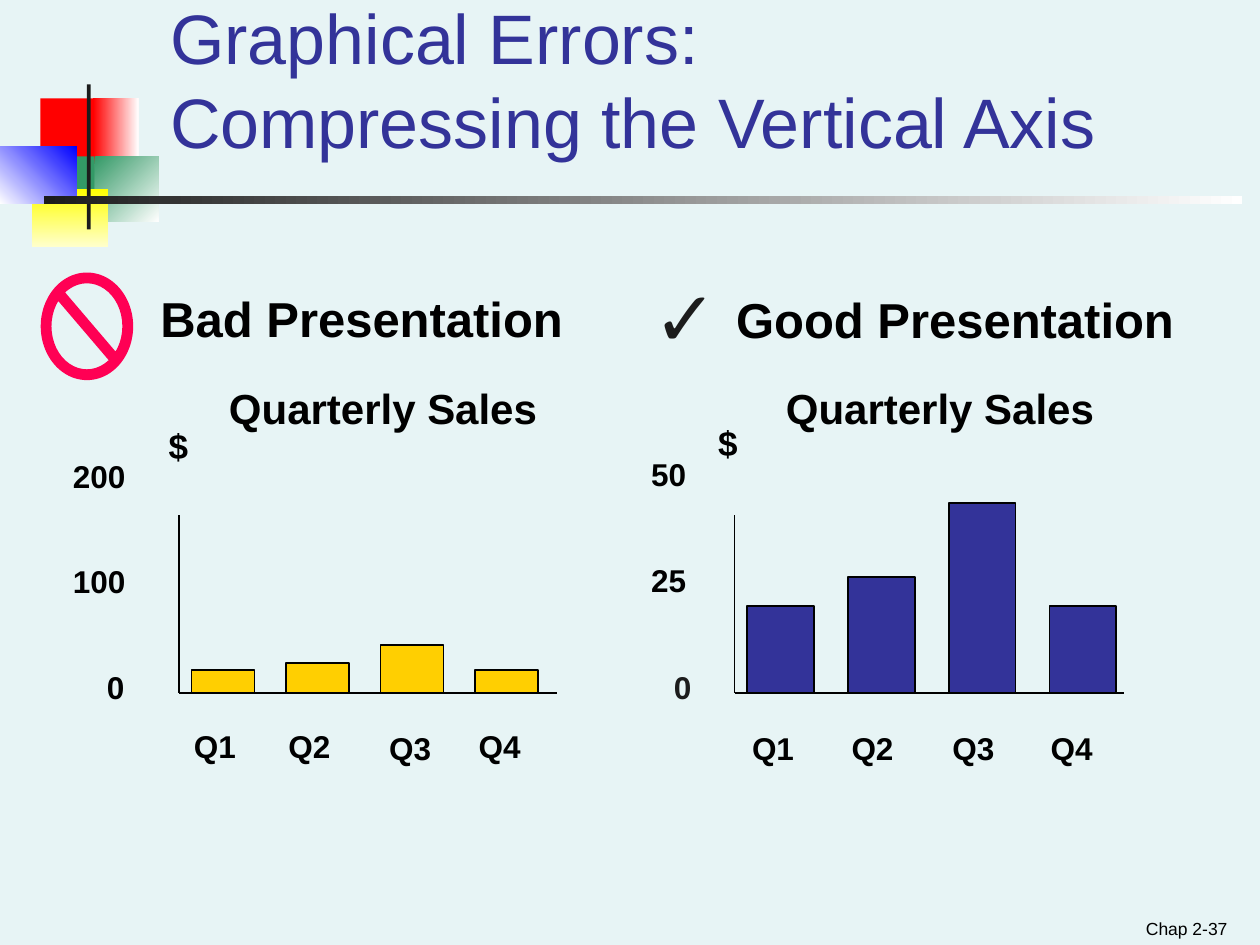
from lxml import etree
from pptx import Presentation
from pptx.dml.color import RGBColor
from pptx.enum.shapes import MSO_CONNECTOR, MSO_SHAPE
from pptx.enum.text import MSO_ANCHOR, MSO_AUTO_SIZE, PP_ALIGN
from pptx.oxml.ns import qn
from pptx.util import Pt

RECT, NO_SYMBOL = MSO_SHAPE.RECTANGLE, MSO_SHAPE.NO_SYMBOL
STRAIGHT = MSO_CONNECTOR.STRAIGHT
BOTTOM = MSO_ANCHOR.BOTTOM
NO_FIT, FIT_SHAPE = MSO_AUTO_SIZE.NONE, MSO_AUTO_SIZE.SHAPE_TO_FIT_TEXT
LEFT, CENTER, RIGHT = PP_ALIGN.LEFT, PP_ALIGN.CENTER, PP_ALIGN.RIGHT

PX = 9144
FONT = "Arial"
BASELINE = 550
COLORS = {
    "background": "E7F4F5", "title": "333399", "text": "000000", "dark": "1C1C1C",
    "bad": "FFCF01", "good": "333399", "ban": "FF0054", "white": "FFFFFF",
    "red": "FF0000", "green": "339966", "yellow": "FFFF00", "cream": "FFFFCC",
    "blue": "0000FF",
}

# box, colour stops, clockwise angle
DECORATION = [
    ((32, 78, 48, 52), ("red",), 0),
    ((74, 78, 36, 52), ("red", "white"), 0),
    ((75, 124, 51, 52), ("green", "white"), 45),
    ((43, 124, 32, 52), ("green",), 0),
    ((25, 150, 61, 46), ("yellow", "cream"), 90),
    ((0, 116, 61, 46), ("white", "blue"), 315),
    ((69, 67, 3, 115), ("dark",), 0),
    ((35, 156, 951, 6), ("dark", "white"), 0),
]

CHARTS = [
    {
        "color": "bad", "title": (165, 299, 278, 50), "dollar": (124, 332, 35, 43),
        "axis": (142, 442), "bar_left": 152, "pitch": 75, "bar_width": 50,
        "heights": (18, 24, 38, 18),
        "quarter_lefts": (144, 219, 299, 370), "quarter_tops": (572, 572, 574, 572),
        "scale": [("200", (48, 358, 62, 40), "text"),
                  ("100", (48, 441, 62, 40), "text"),
                  ("0", (75, 525, 34, 40), "text")],
    },
    {
        "color": "good", "title": (607, 299, 278, 50), "dollar": (560, 330, 35, 43),
        "axis": (583, 892), "bar_left": 593, "pitch": 80, "bar_width": 53,
        "heights": (69, 92, 151, 69),
        "quarter_lefts": (587, 666, 746, 824), "quarter_tops": (574,) * 4,
        "scale": [("50", (507, 356, 48, 40), "text"),
                  ("25", (507, 440, 48, 40), "text"),
                  ("0", (525, 525, 34, 40), "dark")],
    },
]


def rgb(name):
    """Return the named colour."""
    return RGBColor.from_string(COLORS[name])


def emu(*lengths):
    """Turn px lengths into EMU."""
    return [n * PX for n in lengths]


def format_paragraph(p, size, color="text", bold=False, align=LEFT):
    """Set the font and alignment of a paragraph."""
    p.alignment = align
    f = p.font
    f.name, f.size, f.bold = FONT, Pt(size), bold
    f.color.rgb = rgb(color)


def add_text(shapes, text, box, size, color="text", bold=True, align=LEFT,
             wrap=False):
    """Add a one-line text box."""
    tf = shapes.add_textbox(*emu(*box)).text_frame
    tf.word_wrap, tf.auto_size = wrap, FIT_SHAPE
    tf.text = text
    format_paragraph(tf.paragraphs[0], size, color, bold, align)
    return tf


def add_shape(shapes, kind, box, fill, line=None):
    """Add a solid preset shape with an optional thin outline."""
    sp = shapes.add_shape(kind, *emu(*box))
    sp.shadow.inherit = False
    sp.fill.solid()
    sp.fill.fore_color.rgb = rgb(fill)
    if line:
        sp.line.color.rgb = rgb(line)
        sp.line.width = Pt(1)
    else:
        sp.line.fill.background()
    return sp


def add_line(shapes, x1, y1, x2, y2):
    """Add a thin axis line."""
    cxn = shapes.add_connector(STRAIGHT, *emu(x1, y1, x2, y2))
    cxn.line.color.rgb = rgb("text")
    cxn.line.width = Pt(1)
    etree.SubElement(cxn._element.spPr, qn("a:effectLst"))


def add_decoration(shapes):
    """Add the group of coloured blocks and rules beside the title."""
    group = shapes.add_group_shape()
    for box, colors, angle in DECORATION:
        sp = add_shape(group.shapes, RECT, box, colors[0])
        if len(colors) > 1:
            sp.fill.gradient()
            sp.fill.gradient_angle = -angle % 360
            for stop, color in zip(sp.fill.gradient_stops, colors):
                stop.color.rgb = rgb(color)


def set_title(sp, text):
    """Place and format the title placeholder."""
    sp.left, sp.top, sp.width, sp.height = emu(125, 26, 807, 108)
    tf = sp.text_frame
    tf.text = text
    tf.vertical_anchor, tf.auto_size = BOTTOM, NO_FIT
    format_paragraph(tf.paragraphs[0], 40, "title")


def add_bar_drawing(shapes, chart):
    """Draw one set of quarterly bars with its axes and labels."""
    add_text(shapes, "Quarterly Sales", chart["title"], 24, align=CENTER, wrap=True)
    quarters = zip(chart["heights"], chart["quarter_lefts"], chart["quarter_tops"])
    for i, (height, left, top) in enumerate(quarters):
        bar = (chart["bar_left"] + i * chart["pitch"], BASELINE - height,
               chart["bar_width"], height)
        add_shape(shapes, RECT, bar, chart["color"], "text")
        add_text(shapes, f"Q{i + 1}", (left, top, 55, 40), 18)
    start, end = chart["axis"]
    add_line(shapes, start, 409, start, BASELINE)
    add_line(shapes, start, BASELINE, end, BASELINE)
    for text, box, color in chart["scale"]:
        add_text(shapes, text, box, 18, color)
    add_text(shapes, "$", chart["dollar"], 20)


def main():
    """Build and save the slide."""
    prs = Presentation()
    prs.slide_width, prs.slide_height = emu(1000, 750)
    s = prs.slides.add_slide(prs.slide_layouts[5])
    s.background.fill.solid()
    s.background.fill.fore_color.rgb = rgb("background")
    shapes = s.shapes

    add_decoration(shapes)
    set_title(shapes.title, "Graphical Errors:\vCompressing the Vertical Axis")
    for text, box in [("Bad Presentation", (65, 224, 444, 56)),
                      ("Good Presentation", (533, 225, 450, 56))]:
        add_text(shapes, text, box, 28, align=CENTER, wrap=True)
    for chart in CHARTS:
        add_bar_drawing(shapes, chart)

    ban = add_shape(shapes, NO_SYMBOL, (33, 217, 72, 84), "ban", "ban")
    ban.adjustments[0] = 0.1
    add_text(shapes, "✓", (509, 209, 91, 83), 44, "dark", bold=False, wrap=True)
    tf = add_text(shapes, "Chap 2-37", (751, 715, 233, 35), 10, bold=False,
                  align=RIGHT, wrap=True)
    tf.vertical_anchor, tf.auto_size = BOTTOM, NO_FIT
    prs.save("out.pptx")


if __name__ == "__main__":
    main()
